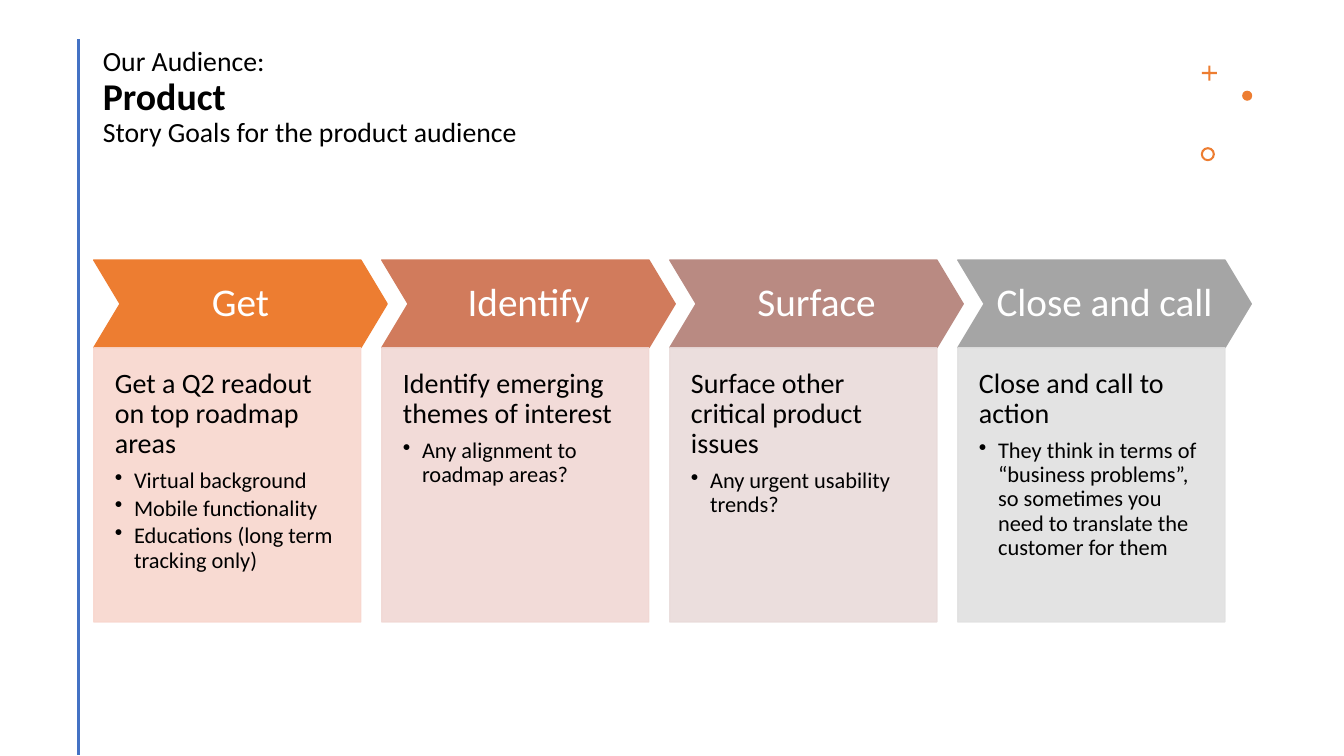
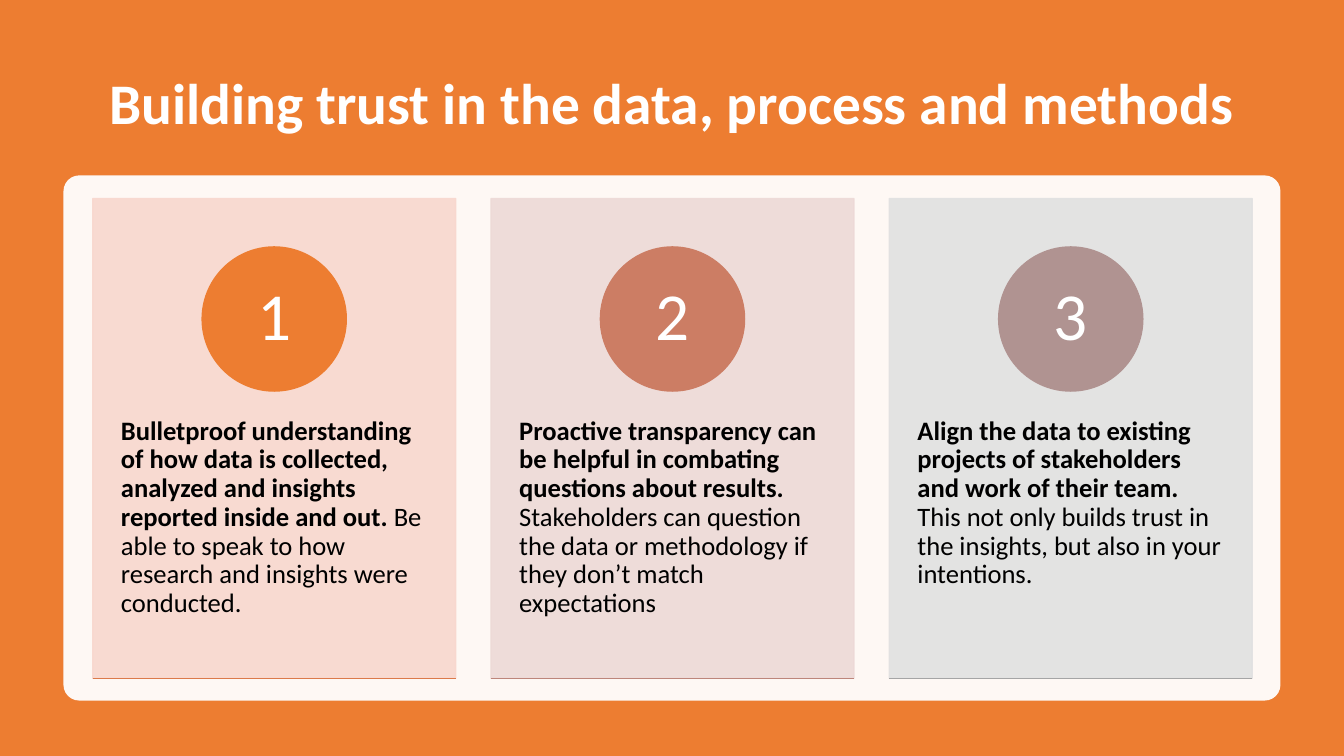
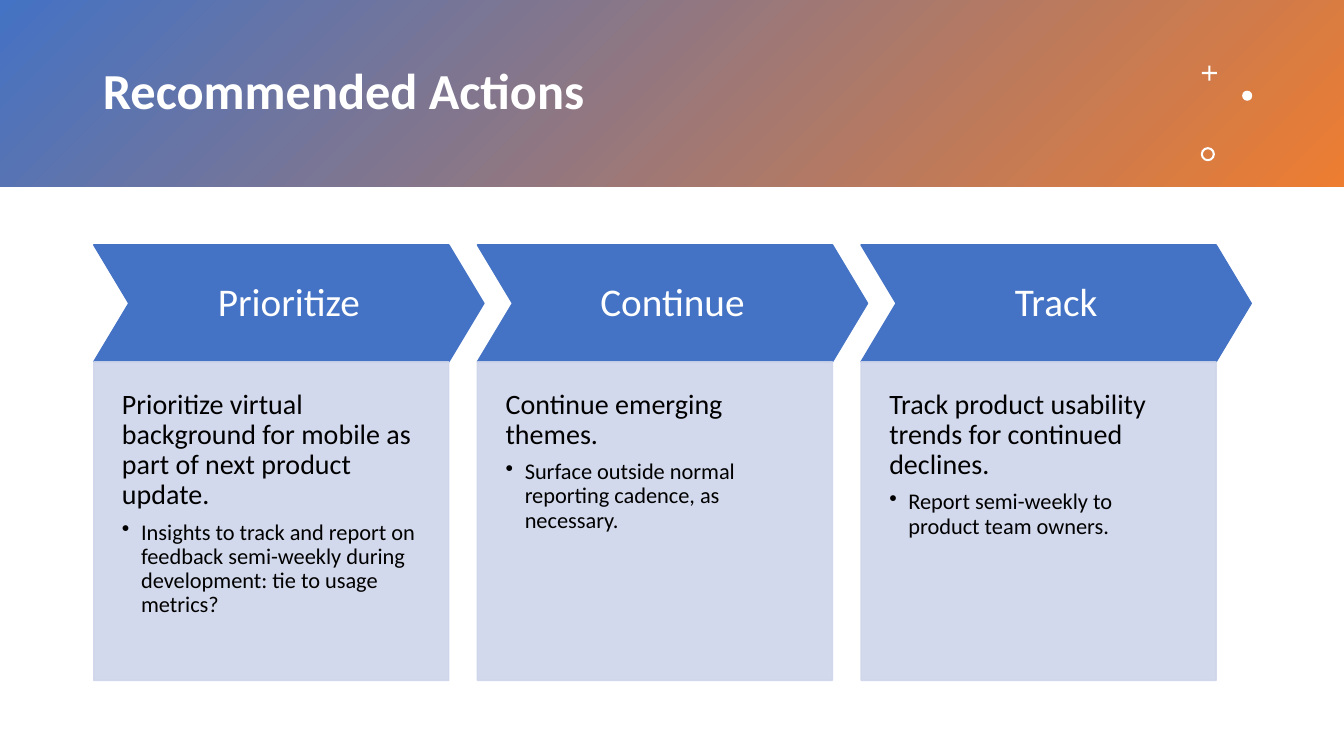
import pptx
import pptx.util
import pptx.dml.color
import pptx.enum.shapes
import pptx.enum.text
import pptx.oxml.ns
import lxml.etree

Inches = pptx.util.Inches
Pt = pptx.util.Pt
RGBColor = pptx.dml.color.RGBColor
SHAPE = pptx.enum.shapes.MSO_SHAPE
STRAIGHT = pptx.enum.shapes.MSO_CONNECTOR.STRAIGHT
ALIGN = pptx.enum.text.PP_ALIGN
ANCHOR = pptx.enum.text.MSO_ANCHOR
qn = pptx.oxml.ns.qn

FONT = "Calibri"
BLACK = RGBColor(0x00, 0x00, 0x00)
WHITE = RGBColor(0xFF, 0xFF, 0xFF)
BLUE = RGBColor(0x44, 0x72, 0xC4)
PALE_BLUE = RGBColor(0xCF, 0xD5, 0xEA)
ORANGE = RGBColor(0xED, 0x7D, 0x31)
BURNT_ORANGE = RGBColor(0xDC, 0x7A, 0x4B)
TERRACOTTA = RGBColor(0xD1, 0x7B, 0x5C)
CLAY = RGBColor(0xCC, 0x7D, 0x64)
ROSE = RGBColor(0xBD, 0x86, 0x7B)
DUSTY_ROSE = RGBColor(0xB9, 0x8A, 0x82)
MAUVE = RGBColor(0xB0, 0x93, 0x91)
GRAY = RGBColor(0xA5, 0xA5, 0xA5)
PEACH = RGBColor(0xF8, 0xD7, 0xCE)
PALE_PINK = RGBColor(0xF1, 0xD8, 0xD4)
PALE_ROSE = RGBColor(0xED, 0xD9, 0xD7)
PALE_MAUVE = RGBColor(0xE9, 0xDB, 0xDA)
PALE_GRAY = RGBColor(0xE1, 0xE1, 0xE1)


def add_block(slide, kind, left, top, width, height, colour, opacity=100,
              outlined=True, insets=(0.1, 0.05, 0.1, 0.05), anchor=ANCHOR.MIDDLE):
    block = slide.shapes.add_shape(kind, Inches(left), Inches(top), Inches(width), Inches(height))
    block.shadow.inherit = False
    block.fill.solid()
    block.fill.fore_color.rgb = colour
    if outlined:
        block.line.color.rgb = colour
        block.line.width = Pt(1)
    else:
        block.line.fill.background()
    if opacity < 100:
        for tint in block.element.spPr.iter(qn("a:srgbClr")):
            lxml.etree.SubElement(tint, qn("a:alpha")).set("val", str(opacity * 1000))
    frame = block.text_frame
    frame.word_wrap = True
    frame.vertical_anchor = anchor
    frame.margin_left, frame.margin_top, frame.margin_right, frame.margin_bottom = map(Inches, insets)
    return block


def style(paragraph, size, colour=BLACK, bold=False, align=ALIGN.LEFT, after=0):
    paragraph.alignment = align
    paragraph.line_spacing = 0.9
    paragraph.space_after = Pt(after)
    for run in paragraph.runs:
        run.font.name = FONT
        run.font.size = Pt(size)
        run.font.bold = bold
        run.font.color.rgb = colour


deck = pptx.Presentation()
deck.slide_width = Inches(13.33)
deck.slide_height = Inches(7.5)

TITLES = [
    ((0.92, 0.4, 10.76, 1.45), ALIGN.LEFT, BLACK,
     [("Our Audience:", 19.8, False), ("Product", 27, True),
      ("Story Goals for the product audience", 19.8, False)]),
    ((0.92, 0.5, 11.5, 1.1), ALIGN.CENTER, WHITE,
     [("Building trust in the data, process and methods", 41, True)]),
    ((0.92, 0.33, 10.75, 1.19), ALIGN.LEFT, WHITE, [("Recommended Actions", 36, True)]),
]
for (left, top, width, height), align, colour, lines in TITLES:
    slide = deck.slides.add_slide(deck.slide_layouts[5])
    title = slide.shapes.title
    title.left, title.top = Inches(left), Inches(top)
    title.width, title.height = Inches(width), Inches(height)
    title.text_frame.text = "\n".join(words for words, size, bold in lines)
    title.text_frame.auto_size = pptx.enum.text.MSO_AUTO_SIZE.NONE
    title.text_frame.vertical_anchor = ANCHOR.MIDDLE
    for paragraph, (words, size, bold) in zip(title.text_frame.paragraphs, lines):
        style(paragraph, size, colour, bold, align)

audience, trust, actions = deck.slides
audience.shapes.title.text_frame.margin_bottom = Inches(0.35)

trust.background.fill.solid()
trust.background.fill.fore_color.rgb = ORANGE

band = add_block(actions, SHAPE.RECTANGLE, 0, 0, 13.33, 1.85, BLUE, outlined=False)
band.fill.gradient()
band.fill.gradient_angle = 315
for stop, colour in zip(band.fill.gradient_stops, (BLUE, ORANGE)):
    stop.color.rgb = colour
band.element.addnext(actions.shapes.title.element)

for slide, colour in ((audience, ORANGE), (actions, WHITE)):
    plus = add_block(slide, SHAPE.CROSS, 11.92, 0.65, 0.15, 0.15, colour, outlined=False)
    plus.adjustments[0] = 0.43
    add_block(slide, SHAPE.OVAL, 12.32, 0.9, 0.1, 0.1, colour, outlined=False)
    ring = add_block(slide, SHAPE.DONUT, 11.91, 1.46, 0.14, 0.14, colour, outlined=False)
    ring.adjustments[0] = 0.15

AUDIENCE_STEPS = [
    ("Get", ORANGE, PEACH, "Get a Q2 readout on top roadmap areas",
     ["Virtual background", "Mobile functionality", "Educations (long term tracking only)"]),
    ("Identify", TERRACOTTA, PALE_PINK, "Identify emerging themes of interest",
     ["Any alignment to roadmap areas?"]),
    ("Surface", DUSTY_ROSE, PALE_MAUVE, "Surface other critical product issues",
     ["Any urgent usability trends?"]),
    ("Close and call", GRAY, PALE_GRAY, "Close and call to action",
     ["They think in terms of “business problems”, so sometimes you need to "
      "translate the customer for them"]),
]
ACTION_STEPS = [
    ("Prioritize", BLUE, PALE_BLUE,
     "Prioritize virtual background for mobile as part of next product update.",
     ["Insights to track and report on feedback semi-weekly during development: "
      "tie to usage metrics?"]),
    ("Continue", BLUE, PALE_BLUE, "Continue emerging themes.",
     ["Surface outside normal reporting cadence, as necessary."]),
    ("Track", BLUE, PALE_BLUE, "Track product usability trends for continued declines.",
     ["Report semi-weekly to product team owners."]),
]
STEPS_LEFT, STEPS_RIGHT, NOTCH = 0.93, 12.41, 0.3
for slide, steps, top, arrow_width, arrow_height, panel_height, inset in (
        (audience, AUDIENCE_STEPS, 2.58, 2.91, 0.87, 2.72, 0.21),
        (actions, ACTION_STEPS, 2.43, 3.87, 1.16, 3.16, 0.28)):
    pitch = (STEPS_RIGHT - STEPS_LEFT - arrow_width) / (len(steps) - 1)
    panel_width = arrow_width - NOTCH * arrow_height
    for index, (heading, colour, pale, summary, details) in enumerate(steps):
        left = STEPS_LEFT + index * pitch
        arrow = add_block(slide, SHAPE.CHEVRON, left, top, arrow_width, arrow_height, colour,
                          insets=(0.05, 0.05, 0.05, 0.05))
        arrow.adjustments[0] = NOTCH
        arrow.text_frame.text = heading
        style(arrow.text_frame.paragraphs[0], 28, WHITE, align=ALIGN.CENTER)
        panel = add_block(slide, SHAPE.RECTANGLE, left, top + arrow_height, panel_width, panel_height,
                          pale, 90, insets=(inset, inset, inset, 2 * inset), anchor=ANCHOR.TOP)
        panel.text_frame.text = "\n".join([summary] + details)
        lead, *bullets = panel.text_frame.paragraphs
        style(lead, 20, after=7)
        for bullet in bullets:
            bullet.level = 1
            style(bullet, 16, after=2.4)
            properties = bullet._p.get_or_add_pPr()
            properties.set("marL", str(Inches(0.19)))
            properties.set("indent", str(-Inches(0.19)))
            lxml.etree.SubElement(properties, qn("a:buChar")).set("char", "•")

rules = [(audience.shapes.add_connector(
    STRAIGHT, Inches(0.78), Inches(0.39), Inches(0.78), Inches(7.49)), BLUE, 2)]

tray = add_block(trust, SHAPE.ROUNDED_RECTANGLE, 0.63, 1.74, 12.07, 5.21, WHITE, 95, outlined=False)
tray.adjustments[0] = 0.03

PRINCIPLES = [
    (PEACH, ORANGE, BURNT_ORANGE,
     "Bulletproof understanding of how data is collected, analyzed and insights "
     "reported inside and out.",
     " Be able to speak to how research and insights were conducted."),
    (PALE_ROSE, CLAY, ROSE,
     "Proactive transparency can be helpful in combating questions about results.",
     " Stakeholders can question the data or methodology if they don’t match expectations"),
    (PALE_GRAY, MAUVE, GRAY,
     "Align the data to existing projects of stakeholders and work of their team.",
     " This not only builds trust in the insights, but also in your intentions."),
]
CARD_TOP, CARD_WIDTH, CARD_HEIGHT, BADGE = 1.97, 3.6, 4.76, 1.43
for index, (pale, badge_colour, rule_colour, claim, reason) in enumerate(PRINCIPLES):
    left = 0.92 + index * 3.95
    bottom = CARD_TOP + CARD_HEIGHT
    card = add_block(trust, SHAPE.RECTANGLE, left, CARD_TOP, CARD_WIDTH, CARD_HEIGHT, pale, 90,
                     insets=(0.28, 2.17, 0.28, 0.36), anchor=ANCHOR.TOP)
    message = card.text_frame.paragraphs[0]
    message.text = claim
    message.add_run().text = reason
    style(message, 19)
    message.runs[0].font.bold = True
    badge = add_block(trust, SHAPE.OVAL, left + (CARD_WIDTH - BADGE) / 2, 2.45, BADGE, BADGE,
                      badge_colour, insets=(0.11, 0.01, 0.11, 0.01))
    badge.text_frame.text = str(index + 1)
    style(badge.text_frame.paragraphs[0], 48, WHITE, align=ALIGN.CENTER)
    rules.append((trust.shapes.add_connector(
        STRAIGHT, Inches(left), Inches(bottom), Inches(left + CARD_WIDTH), Inches(bottom)),
        rule_colour, 1))

for rule, colour, width in rules:
    rule.line.color.rgb = colour
    rule.line.width = Pt(width)
    lxml.etree.SubElement(rule.element.spPr, qn("a:effectLst"))

deck.save("out.pptx")
